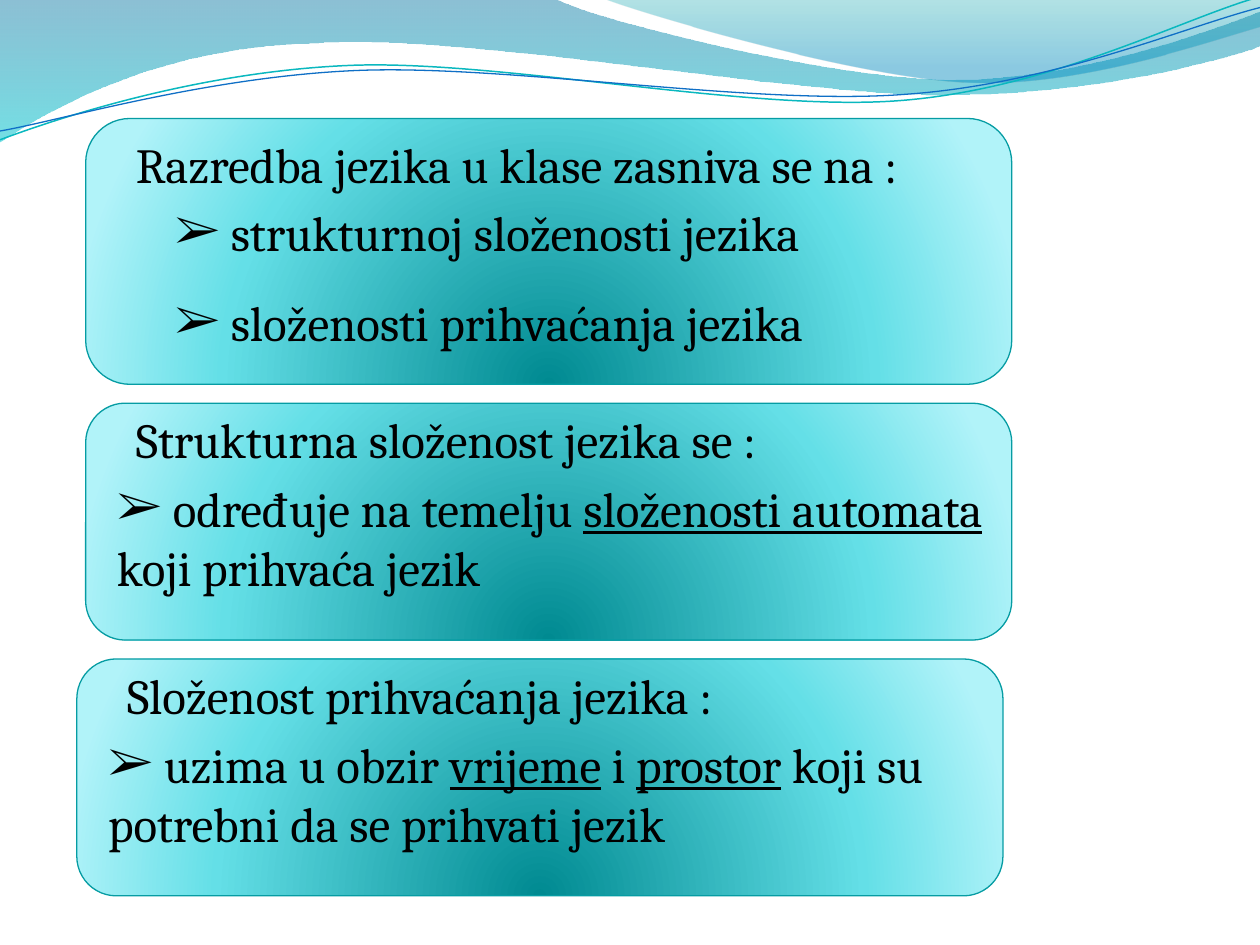
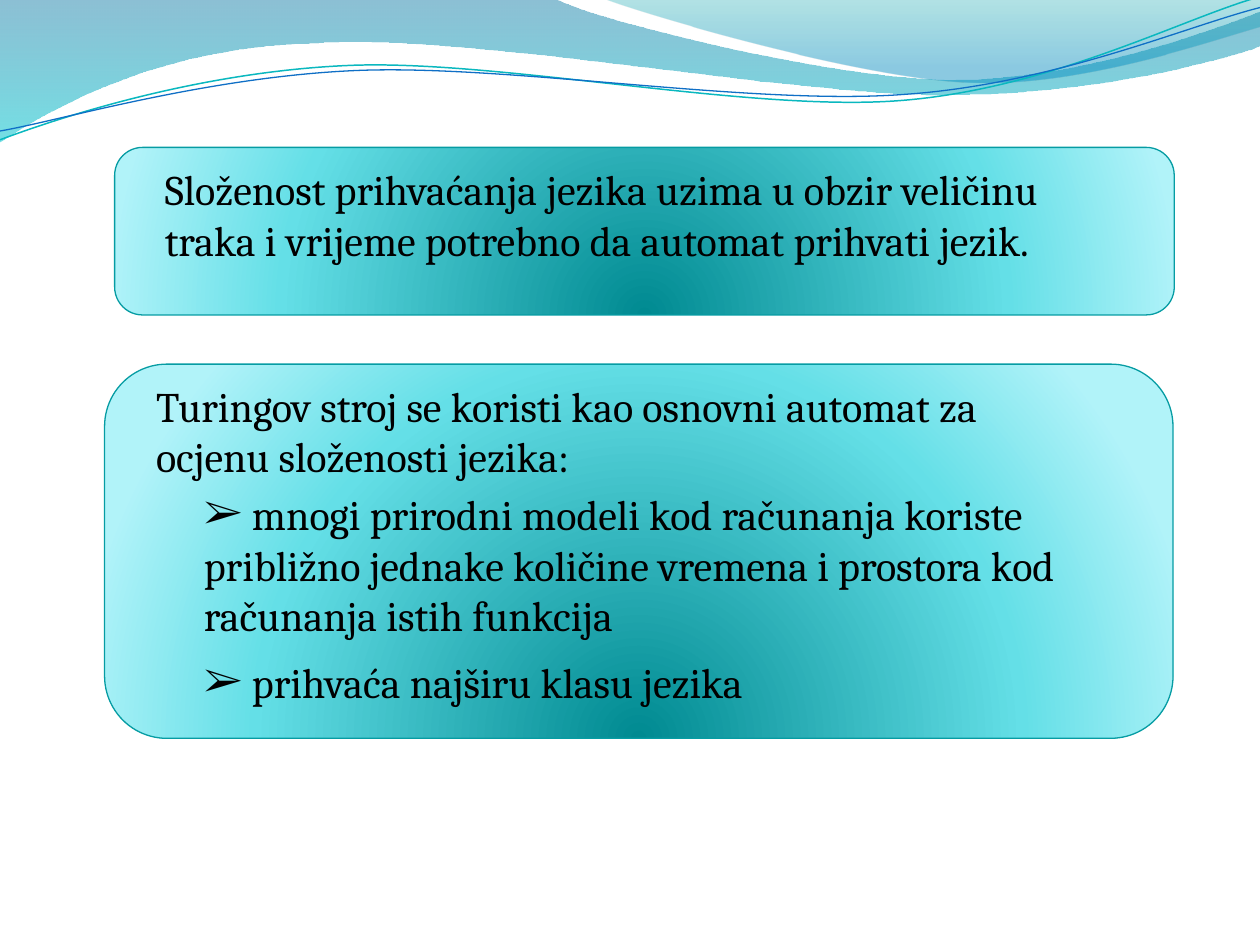
from lxml import etree
from pptx import Presentation
from pptx import util as u
from pptx.dml.color import RGBColor
from pptx.enum import shapes, text
from pptx.oxml.ns import qn

# Content: each card is (left, top, width, height) and its lines.
# A line is (x, y offset in the card, width, height, bulleted, words); _ marks underlining.
SLIDES = [
    {"size": 28, "cards": [
        ((0.68, 0.94, 7.35, 2.11), [
            (0.3, 0.08, 6.59, 0.88, False, "Razredba jezika u klase zasniva se na :"),
            (0.61, 0.62, 6.59, 0.57, True, "strukturnoj složenosti jezika"),
            (0.61, 1.33, 5.6, 0.57, True, "složenosti prihvaćanja jezika")]),
        ((0.68, 3.2, 7.35, 1.88), [
            (0.3, 0, 6.59, 0.57, False, "Strukturna složenost jezika se :"),
            (0.15, 0.55, 7.42, 1.51, True,
             "određuje na temelju _složenosti automata_ koji prihvaća jezik")]),
        ((0.61, 5.23, 7.35, 1.88), [
            (0.3, 0, 6.59, 0.57, False, "Složenost prihvaćanja jezika :"),
            (0.15, 0.55, 7.42, 1.99, True,
             "uzima u obzir _vrijeme_ i _prostor_ koji su potrebni da se prihvati jezik")]),
    ]},
    {"size": 24, "cards": [
        ((0.91, 1.17, 8.41, 1.33), [
            (0.3, 0.08, 7.57, 0.91, False,
             "Složenost prihvaćanja jezika uzima u obzir veličinu traka i vrijeme "
             "potrebno da automat prihvati jezik.")]),
        ((0.83, 2.89, 8.48, 2.97), [
            (0.31, 0.08, 7.64, 0.91, False,
             "Turingov stroj se koristi kao osnovni automat za ocjenu složenosti jezika:"),
            (0.69, 0.94, 6.97, 1.31, True,
             "mnogi prirodni modeli kod računanja koriste približno jednake količine "
             "vremena i prostora kod računanja istih funkcija"),
            (0.69, 2.27, 6.82, 0.5, True, "prihvaća najširu klasu jezika")]),
    ]},
]

# Shared look: gradient stops are (position %, colour, opacity %)
FONT, INK, CARD_EDGE, BULLET = "Cambria", "000000", "069CA3", "➢"
DOWNWARD = '<a:lin ang="5400000" scaled="1"/>'
FROM_BOTTOM = ('<a:path path="circle"><a:fillToRect l="50000" t="130000" '
               'r="50000" b="-30000"/></a:path>')
CARD_STOPS = [(0, "008A91", 100), (68, "64DFE7", 100), (100, "B1F3F9", 100)]

# Waves: start point, then straight (2 numbers) or curved (6 numbers) segments
BANDS = [
    ([(0, 0), (4.4, -0.01), (4.76, 0.17, 6.64, 0.63, 7.58, 0.63),
      (8.53, 0.63, 9.58, 0.26, 10, 0.09), (10.01, 0.36),
      (9.83, 0.44, 8.7, 0.76, 7.46, 0.75), (6.22, 0.75, 3.82, 0.28, 2.57, 0.34),
      (1.29, 0.36, 0.46, 0.83, -0.01, 1.13), (0, 0)],
     [(0, "0074A1", 45), (100, "00C6CF", 55)]),
    ([(4.79, -0.01), (5.09, 0.11, 6.82, 0.62, 7.69, 0.65),
      (8.56, 0.69, 9.61, 0.32, 10, 0.21), (10, 0), (4.79, -0.01)],
     [(0, "00A1A9", 30), (80, "008BBF", 45)]),
]
STRANDS = [
    ([(0, 1.11), (0.48, 0.93, 1.58, 0.57, 2.77, 0.52),
      (3.95, 0.47, 5.93, 0.89, 7.13, 0.8), (8.33, 0.71, 9.38, 0.15, 9.98, -0.02)],
     "0AB8BF", 0.85),
    ([(0, 1.04), (0.47, 0.96, 1.64, 0.61, 2.83, 0.56),
      (4.03, 0.51, 5.97, 0.84, 7.17, 0.75), (8.36, 0.67, 9.41, 0.21, 10, 0.06)],
     "0F6FC6", 0.75),
]


def colour(hex_string):
    return RGBColor.from_string(hex_string)


def set_gradient(shape, stops, direction):
    shape.fill.gradient()
    grad = shape._element.spPr.find(qn("a:gradFill"))
    grad.clear()
    marks = "".join(
        f'<a:gs pos="{pos * 1000}"><a:srgbClr val="{tone}">'
        f'<a:alpha val="{opacity * 1000}"/></a:srgbClr></a:gs>'
        for pos, tone, opacity in stops)
    namespace = "http://schemas.openxmlformats.org/drawingml/2006/main"
    parts = etree.fromstring(
        f'<a:g xmlns:a="{namespace}"><a:gsLst>{marks}</a:gsLst>{direction}</a:g>')
    grad.extend(list(parts))


def set_line(shape, tone, width):
    shape.line.color.rgb = colour(tone)
    shape.line.width = u.Pt(width)


def add_outline(page, segments, close):
    """Join the segment ends, then bend the curved ones into Beziers."""
    ends = [tuple(map(u.Inches, segment[-2:])) for segment in segments]
    builder = page.shapes.build_freeform(*ends[0])
    builder.add_line_segments(ends[1:], close=close)
    outline = builder.convert_to_shape()
    outline.shadow.inherit = False
    straight = list(outline._element.iter(qn("a:lnTo")))
    for step, segment in zip(straight, segments[1:]):
        if len(segment) == 6:
            curve = etree.Element(qn("a:cubicBezTo"))
            for x, y in zip(segment[::2], segment[1::2]):
                knot = etree.SubElement(curve, qn("a:pt"))
                knot.set("x", str(u.Inches(x) - outline.left))
                knot.set("y", str(u.Inches(y) - outline.top))
            step.getparent().replace(step, curve)
    return outline


def add_waves(page, layout):
    """Draw the waves once and hand them to the layout all slides use."""
    waves = []
    for segments, stops in BANDS:
        band = add_outline(page, segments, True)
        set_gradient(band, stops, DOWNWARD)
        band.line.fill.background()
        waves.append(band)
    for segments, tone, width in STRANDS:
        strand = add_outline(page, segments, False)
        strand.fill.background()
        set_line(strand, tone, width)
        waves.append(strand)
    for wave in waves:
        layout.shapes._spTree.append(wave._element)


def add_words(page, place, size, bulleted, words):
    box = page.shapes.add_textbox(*map(u.Inches, place))
    frame = box.text_frame
    frame.word_wrap = True
    frame.auto_size = text.MSO_AUTO_SIZE.SHAPE_TO_FIT_TEXT
    para = frame.paragraphs[0]
    if bulleted:
        props = para._p.get_or_add_pPr()
        etree.SubElement(props, qn("a:buFont")).set("typeface", FONT)
        etree.SubElement(props, qn("a:buChar")).set("char", BULLET)
        words = " " + words
    for index, piece in enumerate(words.split("_")):
        span = para.add_run()
        span.text = piece
        look = {"name": FONT, "size": u.Pt(size), "underline": index % 2 == 1}
        for key, value in look.items():
            setattr(span.font, key, value)
        span.font.color.rgb = colour(INK)


def add_card(page, place, lines, size):
    card = page.shapes.add_shape(shapes.MSO_SHAPE.ROUNDED_RECTANGLE,
                                 *map(u.Inches, place))
    card.shadow.inherit = False
    set_gradient(card, CARD_STOPS, FROM_BOTTOM)
    set_line(card, CARD_EDGE, 0.75)
    left, top = place[:2]
    for dx, dy, width, height, bulleted, words in lines:
        add_words(page, (left + dx, top + dy, width, height), size, bulleted, words)


def main():
    deck = Presentation()
    deck.slide_width, deck.slide_height = u.Inches(10), u.Inches(7.5)
    layout = deck.slide_layouts[6]
    pages = [deck.slides.add_slide(layout) for _ in SLIDES]
    add_waves(pages[0], layout)
    for page, content in zip(pages, SLIDES):
        for place, lines in content["cards"]:
            add_card(page, place, lines, content["size"])
    deck.save("out.pptx")


if __name__ == "__main__":
    main()
